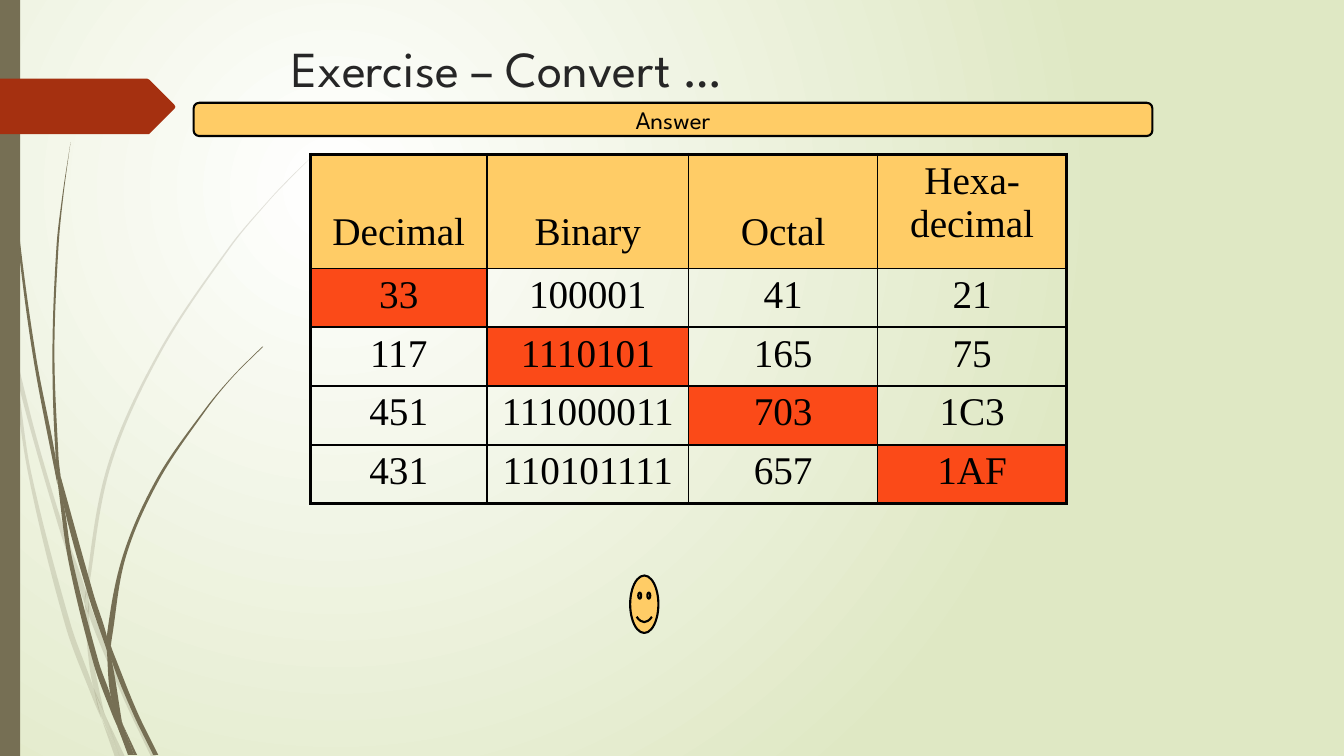
"""Build the number base exercise slide with its answer table."""
from lxml.etree import SubElement
from pptx import Presentation
from pptx.dml.color import RGBColor
from pptx.enum.shapes import MSO_SHAPE
from pptx.enum.text import MSO_ANCHOR, PP_ALIGN
from pptx.oxml.ns import qn
from pptx.util import Emu, Inches, Pt

COLUMNS, ROWS = 13.33, 7.5
GRID = Inches(1)
WHITE = RGBColor(0xFF, 0xFF, 0xFF)
BLACK = RGBColor(0, 0, 0)
CHARCOAL = RGBColor(0x26, 0x26, 0x26)
SAGE = RGBColor(0xDF, 0xE8, 0xC4)
OLIVE = RGBColor(0x76, 0x6F, 0x54)
RUST = RGBColor(0xA5, 0x30, 0x10)
AMBER = RGBColor(0xFF, 0xCC, 0x66)
ORANGE = RGBColor(0xFB, 0x4A, 0x18)
HEADING_FONT = "League Spartan"
TABLE_FONT = "Times New Roman"

# Each blade piece holds its left and right edges, from top to bottom.
PALE_BLADES = [
    ([(0, 2.82), (0, 2.99), (0.1, 3.44), (0.11, 3.5)], [(0, 2.82), (0.09, 3.22), (0.11, 3.5)]),
    ([(0.14, 3.45), (0.17, 3.76), (0.58, 5.22), (0.84, 5.99)],
     [(0.14, 3.45), (0.36, 4.33), (0.62, 5.2), (0.85, 5.86), (0.84, 5.99)]),
    ([(0.88, 5.96), (0.88, 6.1), (1.23, 6.94), (1.5, 7.51)],
     [(0.88, 5.96), (0.92, 6.07), (1.27, 6.92), (1.55, 7.51)]),
    ([(1.05, 7.11), (1.19, 7.51)], [(1.05, 7.11), (1.24, 7.51)]),
    ([(0.11, 3.5), (0.28, 4.7), (0.65, 6.21), (0.92, 6.93), (1.01, 7.14)],
     [(0.11, 3.5), (0.17, 3.76), (0.31, 4.69), (0.7, 6.19), (0.93, 6.83), (1.01, 7.14)]),
    ([(0.84, 5.99), (0.87, 6.46), (0.93, 6.83), (1.05, 7.11)],
     [(0.84, 5.99), (0.88, 6.1), (0.91, 6.46), (1.03, 7.06), (1.05, 7.11)]),
    ([(3.12, 1.53), (2.89, 1.75), (2.68, 1.97), (2.28, 2.44), (1.58, 3.48), (1.07, 4.61),
      (0.85, 5.84), (0.88, 5.96)],
     [(3.12, 1.53), (2.9, 1.75), (2.68, 1.98), (2.29, 2.45), (1.6, 3.49), (1.1, 4.62),
      (0.88, 5.84), (0.88, 5.96)]),
    ([(1.01, 7.14), (1.14, 7.51)], [(1.01, 7.14), (1.19, 7.51)]),
    ([(0.85, 5.86), (0.84, 5.99), (0.88, 6.1)], [(0.85, 5.86), (0.88, 5.96), (0.88, 6.1)]),
    ([(0.93, 6.83), (0.99, 7.07), (1.19, 7.51)], [(0.93, 6.83), (1.05, 7.11), (1.19, 7.51)]),
]
DARK_BLADES = [
    ([(0.03, 0), (0.04, 0.48), (0.07, 1.1), (0.17, 2.33), (0.33, 3.55), (0.57, 4.81)],
     [(0.04, 0), (0.05, 0.48), (0.08, 1.09), (0.19, 2.32), (0.36, 3.55), (0.55, 4.53),
      (0.57, 4.81)]),
    ([(0.6, 4.72), (0.64, 5.05), (0.88, 5.92), (1.06, 6.45)],
     [(0.6, 4.72), (0.93, 5.9), (1.06, 6.31), (1.06, 6.45)]),
    ([(1.1, 6.41), (1.11, 6.56), (1.32, 7.08), (1.52, 7.49)],
     [(1.1, 6.41), (1.13, 6.49), (1.36, 7.06), (1.57, 7.49)]),
    ([(0.57, 4.77), (0.68, 5.57), (0.93, 6.59), (1.11, 7.08), (1.17, 7.22)],
     [(0.57, 4.77), (0.64, 5.05), (0.72, 5.56), (0.98, 6.57), (1.1, 6.91), (1.17, 7.22)]),
    ([(0.7, 1.41), (0.62, 1.93), (0.56, 2.45), (0.52, 3.49), (0.55, 4.49), (0.6, 4.72)],
     [(0.7, 1.41), (0.63, 1.93), (0.58, 2.45), (0.54, 3.49), (0.58, 4.53), (0.6, 4.72)]),
    ([(1.22, 7.19), (1.33, 7.49)], [(1.22, 7.19), (1.36, 7.49)]),
    ([(0.55, 4.49), (0.57, 4.77), (0.64, 5.05)], [(0.55, 4.49), (0.6, 4.72), (0.64, 5.05)]),
    ([(2.6, 3.44), (2.31, 3.73), (2.04, 4.05), (1.56, 4.74), (1.22, 5.51), (1.06, 6.31),
      (1.1, 6.41)],
     [(2.61, 3.44), (2.31, 3.74), (2.05, 4.06), (1.58, 4.76), (1.25, 5.52), (1.11, 6.33),
      (1.1, 6.41)]),
    ([(1.17, 7.22), (1.27, 7.49)], [(1.17, 7.22), (1.31, 7.49)]),
    ([(1.06, 6.45), (1.1, 6.91), (1.22, 7.19)],
     [(1.06, 6.45), (1.11, 6.56), (1.21, 7.16), (1.22, 7.19)]),
    ([(1.06, 6.31), (1.06, 6.45), (1.11, 6.56)], [(1.06, 6.31), (1.1, 6.41), (1.11, 6.56)]),
    ([(1.1, 6.91), (1.17, 7.22), (1.3, 7.49)], [(1.1, 6.91), (1.22, 7.19), (1.33, 7.49)]),
]
PENNANT = [(0, 0.78), (1.46, 0.78), (1.48, 0.79), (1.73, 1.04), (1.74, 1.06),
           (1.73, 1.08), (1.48, 1.33), (0, 1.33)]
ANSWERS = [
    ["Decimal", "Binary", "Octal", "Hexa-\ndecimal"],
    ["33", "100001", "41", "21"],
    ["117", "1110101", "165", "75"],
    ["451", "111000011", "703", "1C3"],
    ["431", "110101111", "657", "1AF"],
]


def grid(*lengths):
    """Turn grid lengths into slide lengths."""
    return [Emu(round(length * GRID)) for length in lengths]


def paint(shape, fill, outline=None, opacity=None):
    """Give a shape a flat fill and an optional outline and opacity."""
    shape.shadow.inherit = False
    shape.fill.solid()
    shape.fill.fore_color.rgb = fill
    if opacity:
        color = shape.fill._xPr.find(qn("a:solidFill"))[0]
        SubElement(color, qn("a:alpha")).set("val", str(opacity * 1000))
    if outline is None:
        shape.line.fill.background()
    else:
        shape.line.color.rgb = outline
        shape.line.width = Pt(1.5)


def add_preset(page, kind, place, fill, outline=None, adjustment=None):
    """Add a painted preset shape."""
    shape = page.shapes.add_shape(kind, *grid(*place))
    paint(shape, fill, outline)
    if adjustment is not None:
        shape.adjustments[0] = adjustment
    return shape


def add_outline(shapes, points, fill, opacity=None):
    """Add a closed freeform through grid points."""
    start, *others = [grid(*point) for point in points]
    builder = shapes.build_freeform(*start)
    builder.add_line_segments(others, close=True)
    shape = builder.convert_to_shape()
    paint(shape, fill, opacity=opacity)
    return shape


def curve(edge):
    """Return the edge with two control points between each pair of points."""
    neighbours = zip(edge[:1] + edge[:-1], edge[1:] + edge[-1:])
    slopes = [(low[0] - high[0]) / (low[1] - high[1]) for high, low in neighbours]
    points = [edge[0]]
    for (left, top), (right, bottom), lean, next_lean in zip(edge, edge[1:], slopes, slopes[1:]):
        third = (bottom - top) / 3
        points += [(left + lean * third, top + third),
                   (right - next_lean * third, bottom - third), (right, bottom)]
    return points


def add_grass(page, blades, opacity=None):
    """Add a group of curved blade pieces."""
    group = page.shapes.add_group_shape()
    for left, right in blades:
        down, up = curve(left), curve(right)[::-1]
        joint = [] if down[-1] == up[0] else [down[-1], up[0]]
        shape = add_outline(group.shapes, down + joint + up[not joint:], OLIVE, opacity)
        outline = next(shape._element.iter(qn("a:path")))
        corners = outline.findall(qn("a:lnTo"))
        for index in range(0, len(corners) - 2, 3):
            first, *rest = corners[index:index + 3]
            bend = SubElement(outline, qn("a:cubicBezTo"))
            outline.replace(first, bend)
            for corner in [first, *rest]:
                bend.append(corner[0])
            for corner in rest:
                outline.remove(corner)


def write(frame, text, font, size, color, align=PP_ALIGN.LEFT):
    """Write one paragraph, with a line break at each new line."""
    para = frame.paragraphs[0]
    para.alignment = align
    for index, line in enumerate(text.split("\n")):
        if index:
            para.add_line_break()
        span = para.add_run()
        span.text = line
        span.font.name = font
        span.font.size = Pt(size)
        span.font.color.rgb = color


def border_cell(cell, widths):
    """Draw the left, right, top and bottom borders of a cell."""
    properties = cell._tc.get_or_add_tcPr()
    for position, (side, width) in enumerate(zip("LRTB", widths)):
        line = SubElement(properties, qn(f"a:ln{side}"), w=str(Pt(width)))
        SubElement(SubElement(line, qn("a:solidFill")), qn("a:srgbClr"), val=str(BLACK))
        properties.insert(position, line)


def add_answer_table(page):
    """Add the conversion table with the given numbers highlighted."""
    table = page.shapes.add_table(5, 4, *grid(3.08, 1.53, 7.5, 3.47)).table
    table.first_row = table.horz_banding = False
    for column, eighths in zip(table.columns, [14, 16, 15, 15]):
        column.width = grid(eighths / 8)[0]
    for index, row in enumerate(table.rows):
        row.height = grid((3.47 - 1.13) / 4 if index else 1.13)[0]
    for row, line in enumerate(ANSWERS):
        for column, text in enumerate(line):
            cell = table.cell(row, column)
            cell.fill.background()
            if row in (0, column + 1):
                cell.fill.solid()
                cell.fill.fore_color.rgb = ORANGE if row else AMBER
            if row == 0 and "\n" not in text:
                cell.margin_top = grid(0.56)[0]
            write(cell.text_frame, text, TABLE_FONT, 28, BLACK, PP_ALIGN.CENTER)
            border_cell(cell, [2.25 if edge else 1 for edge in
                               (column == 0, column == 3, row == 0, row == 4)])


def set_background(page):
    """Fill the page with a round gradient."""
    fill = page.background.fill
    fill.gradient()
    for stop, color, position in zip(fill.gradient_stops, [WHITE, SAGE], [0, 1]):
        stop.color.rgb = color
        stop.position = position
    gradient = page.background._cSld.find(".//" + qn("a:gradFill"))
    gradient.remove(gradient.find(qn("a:lin")))
    circle = SubElement(gradient, qn("a:path"))
    circle.set("path", "circle")
    SubElement(circle, qn("a:fillToRect"), l="50000", t="50000", r="100000", b="100000")


def main():
    """Build and save the deck."""
    deck = Presentation()
    deck.slide_width, deck.slide_height = grid(COLUMNS, ROWS)
    page = deck.slides.add_slide(deck.slide_layouts[6])
    set_background(page)
    add_grass(page, PALE_BLADES, opacity=20)
    add_grass(page, DARK_BLADES)
    add_preset(page, MSO_SHAPE.RECTANGLE, (0, 0, 0.2, ROWS), OLIVE)
    add_outline(page.shapes, PENNANT, RUST)
    title = page.shapes.add_textbox(*grid(2.79, 0.32, 9.75, 1.4)).text_frame
    title.word_wrap = True
    write(title, "Exercise – Convert …", HEADING_FONT, 36, CHARCOAL)
    add_answer_table(page)
    add_preset(page, MSO_SHAPE.SMILEY_FACE, (6.25, 5.71, 0.28, 0.57), AMBER, BLACK, 0.05)
    bar = add_preset(page, MSO_SHAPE.ROUNDED_RECTANGLE, (1.92, 1.02, 9.51, 0.33), AMBER, BLACK, 0.17)
    label = bar.text_frame
    label.margin_top = label.margin_bottom = 0
    label.vertical_anchor = MSO_ANCHOR.MIDDLE
    write(label, "Answer", HEADING_FONT, 18, BLACK, PP_ALIGN.CENTER)
    deck.save("out.pptx")


if __name__ == "__main__":
    main()
